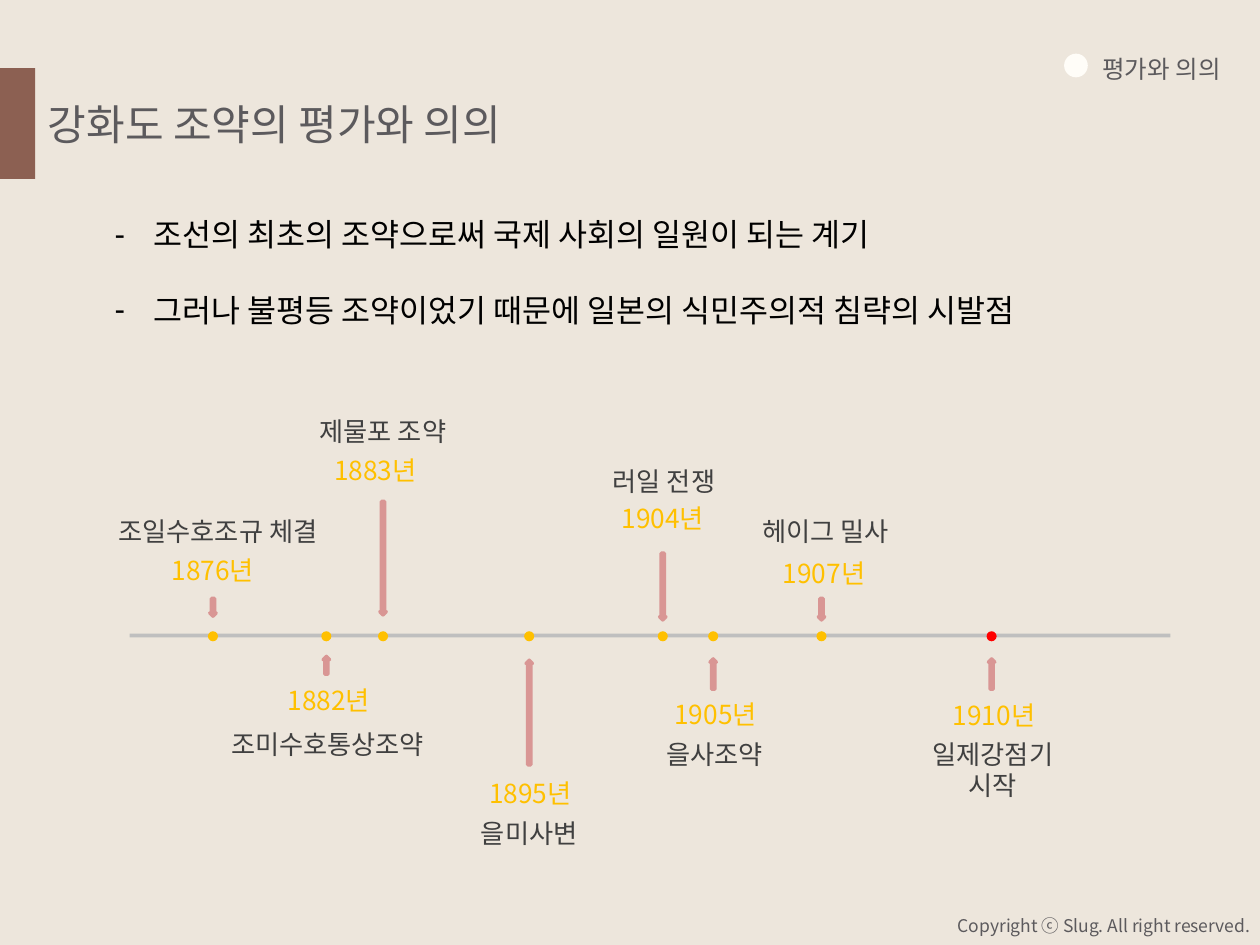
from collections import namedtuple
from dataclasses import dataclass

import pptx
import pptx.dml.color
import pptx.enum.shapes
import pptx.enum.text
import pptx.oxml.xmlchemy
import pptx.util
from lxml import etree
from pptx.oxml.ns import qn
from pptx.util import Inches

SHAPE = pptx.enum.shapes.MSO_SHAPE
ALIGN = pptx.enum.text.PP_ALIGN
ANCHOR = pptx.enum.text.MSO_ANCHOR

Box = namedtuple("Box", "x y w h")
Event = namedtuple(
    "Event", "year name x year_x name_x name_w arrow_y arrow_h year_y name_y")


@dataclass(frozen=True)
class Theme:
    font: str = "Noto Sans CJK KR"
    background: str = "EDE6DC"
    heading: str = "5C5A5D"
    body: str = "000000"
    band: str = "8C6052"
    marker: str = "FFFDF8"
    axis: str = "BFBFBF"
    year: str = "FFC000"
    final: str = "FF0000"
    name: str = "404040"
    arrow: str = "D99694"
    title_size: int = 24
    body_size: int = 18
    label_size: int = 15
    section_size: int = 14
    footer_size: int = 10


THEME = Theme()

EVENTS = [
    Event("1876년", "조일수호조규 체결", 0.66, 0.66, 0.70, 2.05, 1.50, 0.14, 1.10, 0.79),
    Event("1882년", "조미수호통상조약", 1.56, 1.58, 1.57, 1.89, 1.96, 0.14, 2.13, 2.48),
    Event("1883년", "제물포 조약", 2.01, 1.95, 2.01, 1.39, 0.73, 0.90, 0.31, 0),
    Event("1895년", "을미사변", 3.17, 3.18, 3.17, 1.89, 1.99, 0.83, 2.87, 3.19),
    Event("1904년", "러일 전쟁", 4.23, 4.23, 4.24, 1.39, 1.14, 0.53, 0.69, 0.39),
    Event("1905년", "을사조약", 4.63, 4.65, 4.64, 1.89, 1.98, 0.24, 2.24, 2.56),
    Event("1907년", "헤이그 밀사", 5.49, 5.51, 5.52, 1.39, 1.50, 0.17, 1.12, 0.79),
    Event("1910년", "일제강점기\n시작", 6.84, 6.86, 6.85, 1.89, 1.98, 0.24, 2.25, 2.56),
]


def rgb(value):
    return pptx.dml.color.RGBColor.from_string(value)


def place(sp, box):
    sp.left, sp.top, sp.width, sp.height = map(Inches, box)


def write(tf, text, size, color, align=ALIGN.LEFT, anchor=ANCHOR.TOP,
          bullet=None, gap=0):
    tf.word_wrap = True
    tf.auto_size = pptx.enum.text.MSO_AUTO_SIZE.NONE
    tf.vertical_anchor = anchor
    for i, line in enumerate(text.split("\n")):
        p = tf.paragraphs[0] if i == 0 else tf.add_paragraph()
        p.alignment = align
        p.space_before = pptx.util.Pt(gap if i else 0)
        if bullet:
            pPr = p._p.get_or_add_pPr()
            pPr.set("marL", str(Inches(0.31)))
            pPr.set("indent", str(-Inches(0.31)))
            etree.SubElement(pPr, qn("a:buChar")).set("char", bullet)
        r = p.add_run()
        r.text = line
        r.font.size = pptx.util.Pt(size)
        r.font.color.rgb = rgb(color)
        r.font.name = THEME.font
        etree.SubElement(r._r.get_or_add_rPr(), qn("a:ea")).set(
            "typeface", THEME.font)


def add_text(s, box, text, **fmt):
    sp = s.shapes.add_textbox(*map(Inches, box))
    write(sp.text_frame, text, **fmt)


def add_block(s, kind, box, fill, line=None):
    sp = s.shapes.add_shape(kind, *map(Inches, box))
    sp.shadow.inherit = False
    sp.fill.solid()
    sp.fill.fore_color.rgb = rgb(fill)
    if line:
        sp.line.color.rgb = rgb(line)
        sp.line.width = pptx.util.Pt(2)
    else:
        sp.line.fill.background()
    return sp


def add_heading(s, box):
    add_block(s, SHAPE.RECTANGLE, Box(box.x, box.y, 0.28, box.h), THEME.band)
    title = s.shapes.title
    place(title, Box(box.x + 0.28, box.y + 0.19, box.w - 0.28, 0.5))
    write(title.text_frame, "강화도 조약의 평가와 의의", size=THEME.title_size,
          color=THEME.heading, anchor=ANCHOR.MIDDLE)


def add_section_tag(s, box):
    add_block(s, SHAPE.OVAL, Box(box.x, box.y + 0.06, 0.16, 0.16),
              THEME.marker, THEME.marker)
    add_text(s, Box(box.x + 0.19, box.y, box.w - 0.19, box.h), "평가와 의의",
             size=THEME.section_size, color=THEME.heading)


def add_points(s, box):
    body = s.placeholders[1]
    place(body, box)
    write(body.text_frame,
          "조선의 최초의 조약으로써 국제 사회의 일원이 되는 계기\n"
          "그러나 불평등 조약이었기 때문에 일본의 식민주의적 침략의 시발점",
          size=THEME.body_size, color=THEME.body, bullet="-", gap=21.5)


def add_event(s, box, axis_y, event, dot_color):
    x, y = box.x + event.x, box.y
    arrow = add_block(s, SHAPE.DOWN_ARROW,
                      Box(x - 0.025, y + event.arrow_y, 0.05, event.arrow_h),
                      THEME.arrow, THEME.arrow)
    if y + event.arrow_y > axis_y:
        arrow.rotation = 180
    add_block(s, SHAPE.OVAL, Box(x - 0.04, axis_y - 0.04, 0.08, 0.08), dot_color)
    add_text(s, Box(box.x + event.year_x - 0.77, y + event.year_y, 1.54, 0.35),
             event.year, size=THEME.label_size, color=THEME.year,
             align=ALIGN.CENTER)
    height = 0.35 + 0.26 * event.name.count("\n")
    add_text(s, Box(box.x + event.name_x - event.name_w / 2, y + event.name_y,
                    event.name_w, height),
             event.name, size=THEME.label_size, color=THEME.name,
             align=ALIGN.CENTER)


def add_timeline(s, box):
    axis_y = box.y + 1.8
    add_block(s, SHAPE.RECTANGLE, Box(box.x, axis_y - 0.02, box.w, 0.03), THEME.axis)
    for event in EVENTS:
        color = THEME.final if event is EVENTS[-1] else THEME.year
        add_event(s, box, axis_y, event, color)


def add_footer(s, box):
    add_text(s, box, "Copyright ⓒ Slug. All right reserved.",
             size=THEME.footer_size, color=THEME.heading, align=ALIGN.RIGHT)


def main():
    prs = pptx.Presentation()
    prs.slide_width, prs.slide_height = Inches(10), Inches(7.5)
    s = prs.slides.add_slide(prs.slide_layouts[1])
    s.background.fill.solid()
    s.background.fill.fore_color.rgb = rgb(THEME.background)
    add_footer(s, Box(5.12, 7.21, 4.9, 0.27))
    add_heading(s, Box(0, 0.54, 7.79, 0.88))
    add_points(s, Box(0.81, 1.66, 8.32, 1.31))
    add_section_tag(s, Box(8.46, 0.38, 1.46, 0.34))
    add_timeline(s, Box(1.03, 3.25, 8.26, 3.54))
    prs.save("out.pptx")


if __name__ == "__main__":
    main()
